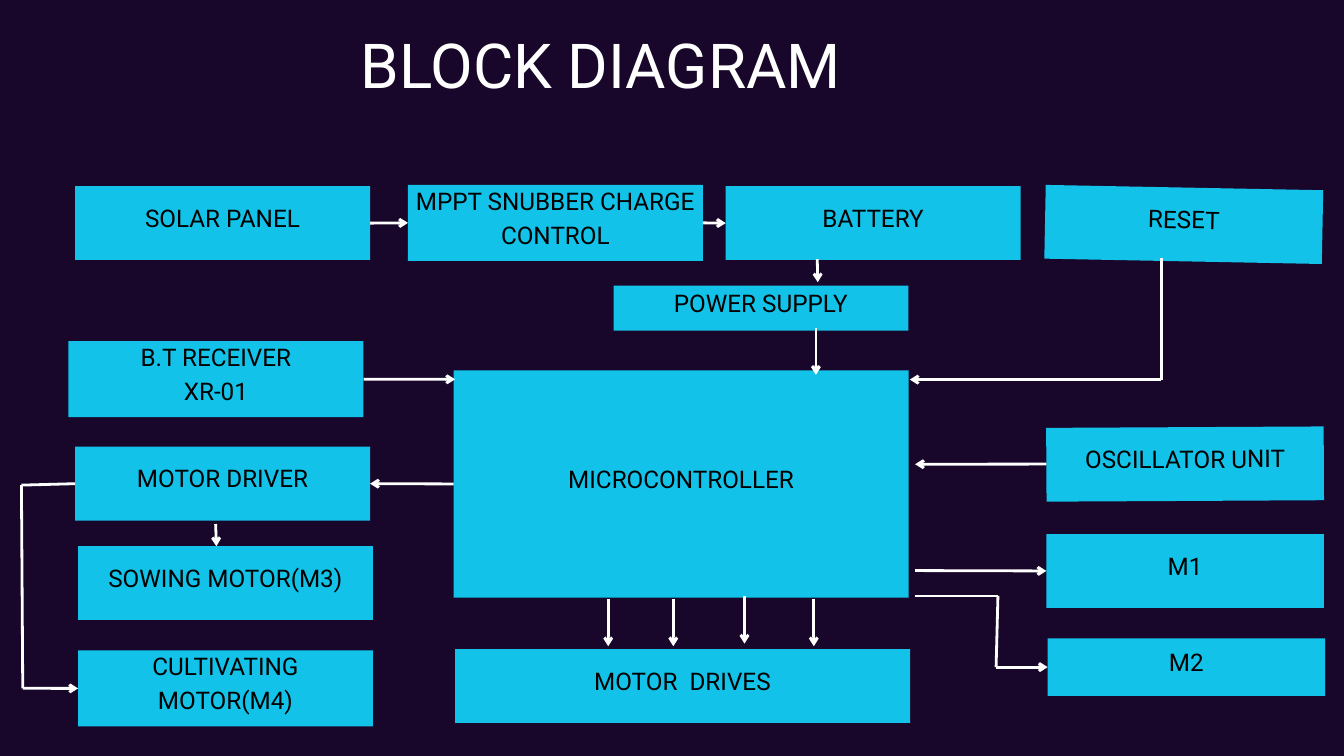
from dataclasses import dataclass

from lxml.etree import SubElement
from pptx import Presentation
from pptx.dml.color import RGBColor
from pptx.enum.shapes import MSO_CONNECTOR, MSO_SHAPE
from pptx.enum.text import MSO_ANCHOR, PP_ALIGN
from pptx.oxml.ns import qn
from pptx.util import Cm, Pt


@dataclass(frozen=True)
class Theme:
    background: RGBColor = RGBColor(0x18, 0x07, 0x2B)
    block: RGBColor = RGBColor(0x12, 0xC2, 0xE8)
    block_text: RGBColor = RGBColor(0, 0, 0)
    light: RGBColor = RGBColor(0xFF, 0xFF, 0xFF)
    font: str = "Roboto"
    title_size: float = 66.4
    block_size: float = 26
    line_factor: float = 1.4
    line_width: float = 3


@dataclass(frozen=True)
class Box:
    """A rectangle in centimetres."""
    left: float
    top: float
    width: float
    height: float

    def at(self, x, y):
        """Slide position of a point given from this box's corner."""
        return self.left + x, self.top + y

    def inner(self, x, y, width, height):
        return Box(*self.at(x, y), width, height)

    def lengths(self):
        return [Cm(v) for v in (self.left, self.top, self.width, self.height)]


THEME = Theme()
BLOCK_WIDTH, SIDE_WIDTH, WIDE_WIDTH = 11.15, 10.49, 17.2
BLOCK_HEIGHT, TALL_HEIGHT = 2.79, 2.87
TOP, LEFT, BOTTOM, RIGHT = range(4)


def style_text(frame, size, color, align):
    for paragraph in frame.paragraphs:
        paragraph.alignment = align
        paragraph.line_spacing = Pt(round(size * THEME.line_factor, 1))
        for run in paragraph.runs:
            run.font.name = THEME.font
            run.font.size = Pt(size)
            run.font.color.rgb = color


def add_block(slide, box, label, rotation=0):
    block = slide.shapes.add_shape(MSO_SHAPE.RECTANGLE, *box.lengths())
    block.shadow.inherit = False
    block.fill.solid()
    block.fill.fore_color.rgb = THEME.block
    block.line.fill.background()
    block.rotation = rotation
    frame = block.text_frame
    frame.word_wrap = True
    frame.vertical_anchor = MSO_ANCHOR.MIDDLE
    frame.margin_left = frame.margin_right = Cm(0.15)
    frame.margin_top, frame.margin_bottom = Cm(0), Cm(0.6)
    frame.text = label
    style_text(frame, THEME.block_size, THEME.block_text, PP_ALIGN.CENTER)
    return block


def add_link(slide, start, end, arrow=True):
    """Draw a line between two ends, each a point (x, y) or a (block, side)."""
    ends = (start, end)
    joined = [not isinstance(e[0], (int, float)) for e in ends]
    coords = [Cm(0 if join else v) for e, join in zip(ends, joined) for v in e]
    link = slide.shapes.add_connector(MSO_CONNECTOR.STRAIGHT, *coords)
    if joined[0]:
        link.begin_connect(*start)
    if joined[1]:
        link.end_connect(*end)
    link.line.color.rgb = THEME.light
    link.line.width = Pt(THEME.line_width)
    if arrow:
        SubElement(link._element.spPr.find(qn("a:ln")), qn("a:tailEnd"), type="arrow")
    SubElement(link._element.spPr, qn("a:effectLst"))


def add_route(slide, *stops):
    """Draw a bent line through the stops, with an arrowhead at the last."""
    for number, (start, end) in enumerate(zip(stops, stops[1:]), 2):
        add_link(slide, start, end, arrow=number == len(stops))


def add_title(slide, box):
    title = slide.shapes.add_textbox(*box.lengths())
    frame = title.text_frame
    frame.word_wrap = True
    frame.margin_left = frame.margin_right = Cm(0)
    frame.margin_top = frame.margin_bottom = Cm(0)
    frame.text = "BLOCK DIAGRAM"
    style_text(frame, THEME.title_size, THEME.light, PP_ALIGN.LEFT)


def add_core(slide, box):
    """Microcontroller above its motor drives; returns the microcontroller."""
    controller = add_block(slide, box.inner(0, 0, WIDE_WIDTH, 8.59), "MICROCONTROLLER")
    add_block(slide, box.inner(0.05, 10.54, WIDE_WIDTH, BLOCK_HEIGHT), "MOTOR  DRIVES")
    for x, y in ((5.84, 8.63), (8.3, 8.63), (10.99, 8.53), (13.61, 8.63)):
        add_link(slide, box.at(x, y), box.at(x, y + 1.8))
    return controller


def add_power_chain(slide, box):
    solar = add_block(slide, box.inner(0, 0.05, BLOCK_WIDTH, BLOCK_HEIGHT), "SOLAR PANEL")
    charger = add_block(slide, box.inner(12.58, 0, BLOCK_WIDTH, TALL_HEIGHT),
                        "MPPT SNUBBER CHARGE CONTROL")
    battery = add_block(slide, box.inner(24.59, 0.05, BLOCK_WIDTH, BLOCK_HEIGHT), "BATTERY")
    add_block(slide, box.inner(20.35, 3.81, BLOCK_WIDTH, 1.7), "POWER SUPPLY")
    add_link(slide, (solar, RIGHT), (charger, LEFT))
    add_link(slide, (charger, RIGHT), (battery, LEFT))
    add_link(slide, box.at(28.05, 2.81), box.at(28.07, 3.68))
    add_link(slide, box.at(28, 5.41), box.at(28, 7.18))


def add_receiver_and_motors(slide, box, controller):
    receiver = add_block(slide, box.inner(1.78, 0, BLOCK_WIDTH, TALL_HEIGHT),
                         "B.T RECEIVER\nXR-01")
    driver = add_block(slide, box.inner(2.03, 3.99, BLOCK_WIDTH, BLOCK_HEIGHT), "MOTOR DRIVER")
    add_block(slide, box.inner(2.14, 7.75, BLOCK_WIDTH, BLOCK_HEIGHT), "SOWING MOTOR(M3)")
    cultivating = add_block(slide, box.inner(2.14, 11.69, BLOCK_WIDTH, TALL_HEIGHT),
                            "CULTIVATING MOTOR(M4)")
    add_link(slide, (receiver, RIGHT), box.at(16.39, 1.44))
    add_link(slide, (controller, LEFT), (driver, RIGHT))
    add_link(slide, box.at(7.34, 6.91), box.at(7.37, 7.75))
    add_route(slide, (driver, LEFT), box.at(0, 5.44), box.at(0.05, 13.12),
              (cultivating, LEFT))


def add_inputs_and_outputs(slide, box):
    """Reset and oscillator feed the core; M1 and M2 are driven by it."""
    add_block(slide, box.inner(5.11, 0, SIDE_WIDTH, BLOCK_HEIGHT), "RESET", 1.1)
    oscillator = add_block(slide, box.inner(5.16, 9.06, SIDE_WIDTH, BLOCK_HEIGHT),
                           "OSCILLATOR UNIT", -0.3)
    motor_1 = add_block(slide, box.inner(5.16, 13.1, SIDE_WIDTH, BLOCK_HEIGHT), "M1")
    motor_2 = add_block(slide, box.inner(5.21, 17.04, SIDE_WIDTH, 2.18), "M2")
    add_route(slide, box.at(9.5, 2.66), box.at(9.5, 7.26), box.at(0, 7.26))
    add_link(slide, (oscillator, LEFT), box.at(0.2, 10.46))
    add_link(slide, box.at(0.2, 14.48), (motor_1, LEFT))
    add_route(slide, box.at(0.2, 15.44), box.at(3.33, 15.44), box.at(3.26, 18.13),
              (motor_2, LEFT))


def main():
    presentation = Presentation()
    presentation.slide_width, presentation.slide_height = Cm(50.8), Cm(28.58)
    slide = presentation.slides.add_slide(presentation.slide_layouts[6])
    slide.background.fill.solid()
    slide.background.fill.fore_color.rgb = THEME.background
    add_title(slide, Box(13.64, 0.53, 21.46, 3.18))
    controller = add_core(slide, Box(17.15, 14, 17.25, 13.33))
    add_power_chain(slide, Box(2.84, 6.99, 35.74, 5.51))
    add_receiver_and_motors(slide, Box(0.81, 12.9, 13.29, 14.56), controller)
    add_inputs_and_outputs(slide, Box(34.39, 7.09, 15.7, 19.22))
    presentation.save("out.pptx")


if __name__ == "__main__":
    main()
